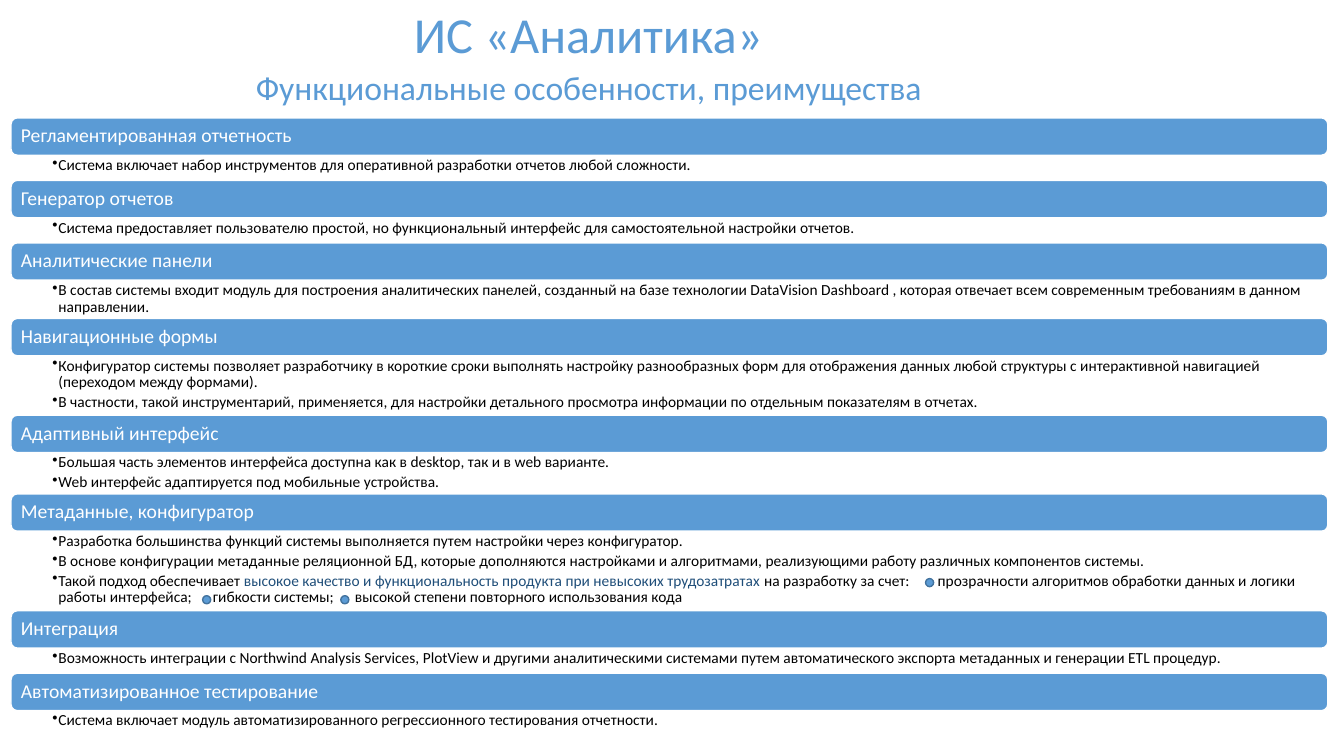
from dataclasses import dataclass

from lxml.etree import SubElement
from pptx import Presentation
from pptx.dml.color import RGBColor
from pptx.enum.shapes import MSO_SHAPE
from pptx.enum.text import MSO_ANCHOR, MSO_AUTO_SIZE, PP_ALIGN
from pptx.oxml.ns import qn
from pptx.util import Inches, Pt

TITLE = "ИС «Аналитика»"
SUBTITLE = "Функциональные особенности, преимущества"
WIDE_GAP, GAP = 17.4, 12.4
HIGHLIGHT = "высокое качество и функциональность продукта при невысоких трудозатратах"

SECTIONS = [
    ("Регламентированная отчетность", 0.25, [
        "Система включает набор инструментов для оперативной разработки отчетов любой сложности."]),
    ("Генератор отчетов", 0.25, [
        "Система предоставляет пользователю простой, но функциональный интерфейс для самостоятельной "
        "настройки отчетов."]),
    ("Аналитические панели", 0.38, [
        "В состав системы входит модуль для построения аналитических панелей, созданный на базе технологии "
        "DataVision Dashboard , которая отвечает всем современным требованиям в данном направлении."]),
    ("Навигационные формы", 0.59, [
        "Конфигуратор системы позволяет разработчику в короткие сроки выполнять настройку разнообразных форм "
        "для отображения данных любой структуры с интерактивной навигацией (переходом между формами).",
        "В частности, такой инструментарий, применяется, для настройки детального просмотра информации "
        "по отдельным показателям в отчетах."]),
    ("Адаптивный интерфейс", 0.41, [
        "Большая часть элементов интерфейса доступна как в desktop, так и в web варианте.",
        "Web интерфейс адаптируется под мобильные устройства."]),
    ("Метаданные, конфигуратор", 0.79, [
        "Разработка большинства функций системы выполняется путем настройки через конфигуратор.",
        "В основе конфигурации метаданные реляционной БД, которые дополняются настройками и алгоритмами, "
        "реализующими работу различных компонентов системы.",
        ("Такой подход обеспечивает ", HIGHLIGHT, " на разработку за счет:", WIDE_GAP,
         "прозрачности алгоритмов обработки данных и логики работы интерфейса;", GAP,
         "гибкости системы;", GAP, "высокой степени повторного использования кода")]),
    ("Интеграция", 0.25, [
        "Возможность интеграции с Northwind Analysis Services, PlotView и другими аналитическими системами "
        "путем автоматического экспорта метаданных и генерации ETL процедур."]),
    ("Автоматизированное тестирование", 0.25, [
        "Система включает модуль автоматизированного регрессионного тестирования отчетности."]),
]
DOTS = [(9.18, 5.74), (2.01, 5.91), (3.38, 5.91)]
LEFT, FIRST_TOP, WIDTH, BAR_HEIGHT, DOT_SIZE = 0.11, 1.17, 13.06, 0.37, 0.08


@dataclass(frozen=True)
class Theme:
    """Colours, font and type sizes of the slide."""
    font: str = "Calibri"
    blue: str = "5B9BD5"
    outline: str = "43739E"
    highlight: str = "1F4E79"
    white: str = "FFFFFF"
    black: str = "000000"
    title_size: float = 36
    subtitle_size: float = 24
    bar_size: float = 14
    body_size: float = 11


THEME = Theme()


def format_run(run, size, color):
    """Apply font, size and colour to a run."""
    run.font.name = THEME.font
    run.font.size = Pt(size)
    run.font.color.rgb = RGBColor.from_string(color)


def set_insets(frame, left, top, right, bottom):
    """Set the text margins in inches."""
    frame.margin_left, frame.margin_top = Inches(left), Inches(top)
    frame.margin_right, frame.margin_bottom = Inches(right), Inches(bottom)


def add_filled_shape(slide, kind, box, line_color):
    """Add a blue preset shape with a thin outline."""
    shape = slide.shapes.add_shape(kind, *map(Inches, box))
    shape.shadow.inherit = False
    shape.fill.solid()
    shape.fill.fore_color.rgb = RGBColor.from_string(THEME.blue)
    shape.line.color.rgb = RGBColor.from_string(line_color)
    shape.line.width = Pt(1)
    return shape


def fill_heading(placeholder, text, box, size):
    """Move a heading placeholder and fill it with centred text."""
    placeholder.left, placeholder.top, placeholder.width, placeholder.height = map(Inches, box)
    frame = placeholder.text_frame
    frame.text = text
    frame.word_wrap = True
    frame.auto_size = MSO_AUTO_SIZE.NONE
    frame.vertical_anchor = MSO_ANCHOR.TOP
    paragraph = frame.paragraphs[0]
    paragraph.alignment = PP_ALIGN.CENTER
    paragraph.space_before = Pt(0)
    format_run(paragraph.runs[0], size, THEME.blue)


def add_bar(slide, text, top):
    """Add the rounded bar that names a section."""
    box = (LEFT, top, WIDTH, BAR_HEIGHT)
    bar = add_filled_shape(slide, MSO_SHAPE.ROUNDED_RECTANGLE, box, THEME.white)
    frame = bar.text_frame
    frame.text = text
    frame.vertical_anchor = MSO_ANCHOR.MIDDLE
    set_insets(frame, 0.08, 0.06, 0.08, 0.06)
    paragraph = frame.paragraphs[0]
    paragraph.alignment = PP_ALIGN.LEFT
    paragraph.line_spacing = 0.9
    format_run(paragraph.runs[0], THEME.bar_size, THEME.white)


def add_bullet(paragraph, content):
    """Write one bulleted paragraph; numbers stand for widened spaces."""
    paragraph.line_spacing = 0.9
    paragraph.space_after = Pt(2.2)
    properties = paragraph._p.get_or_add_pPr()
    properties.set("marL", str(Inches(0.06)))
    properties.set("indent", str(Inches(-0.06)))
    SubElement(properties, qn("a:buChar")).set("char", "•")
    for part in (content,) if isinstance(content, str) else content:
        run = paragraph.add_run()
        is_gap = not isinstance(part, str)
        run.text = " " if is_gap else part
        format_run(run, THEME.body_size, THEME.highlight if part == HIGHLIGHT else THEME.black)
        if is_gap:
            run.font._element.set("spc", str(round(part * 100)))


def add_body(slide, bullets, top, height):
    """Add the bulleted text under a bar."""
    frame = slide.shapes.add_textbox(*map(Inches, (LEFT, top, WIDTH, height))).text_frame
    frame.word_wrap = True
    set_insets(frame, 0.41, 0.02, 0.11, 0.02)
    for index, content in enumerate(bullets):
        add_bullet(frame.add_paragraph() if index else frame.paragraphs[0], content)


def main():
    """Build the slide and save it."""
    presentation = Presentation()
    presentation.slide_width, presentation.slide_height = Inches(13.33), Inches(7.5)
    slide = presentation.slides.add_slide(presentation.slide_layouts[0])
    fill_heading(slide.shapes.title, TITLE, (2.52, -0.02, 6.63, 0.71), THEME.title_size)
    fill_heading(slide.placeholders[1], SUBTITLE, (1.42, 0.61, 8.84, 0.5), THEME.subtitle_size)
    top = FIRST_TOP
    for heading, height, bullets in SECTIONS:
        add_bar(slide, heading, top)
        add_body(slide, bullets, top + BAR_HEIGHT, height)
        top += BAR_HEIGHT + height
    for left, dot_top in DOTS:
        add_filled_shape(slide, MSO_SHAPE.OVAL, (left, dot_top, DOT_SIZE, DOT_SIZE), THEME.outline)
    presentation.save("out.pptx")


if __name__ == "__main__":
    main()
